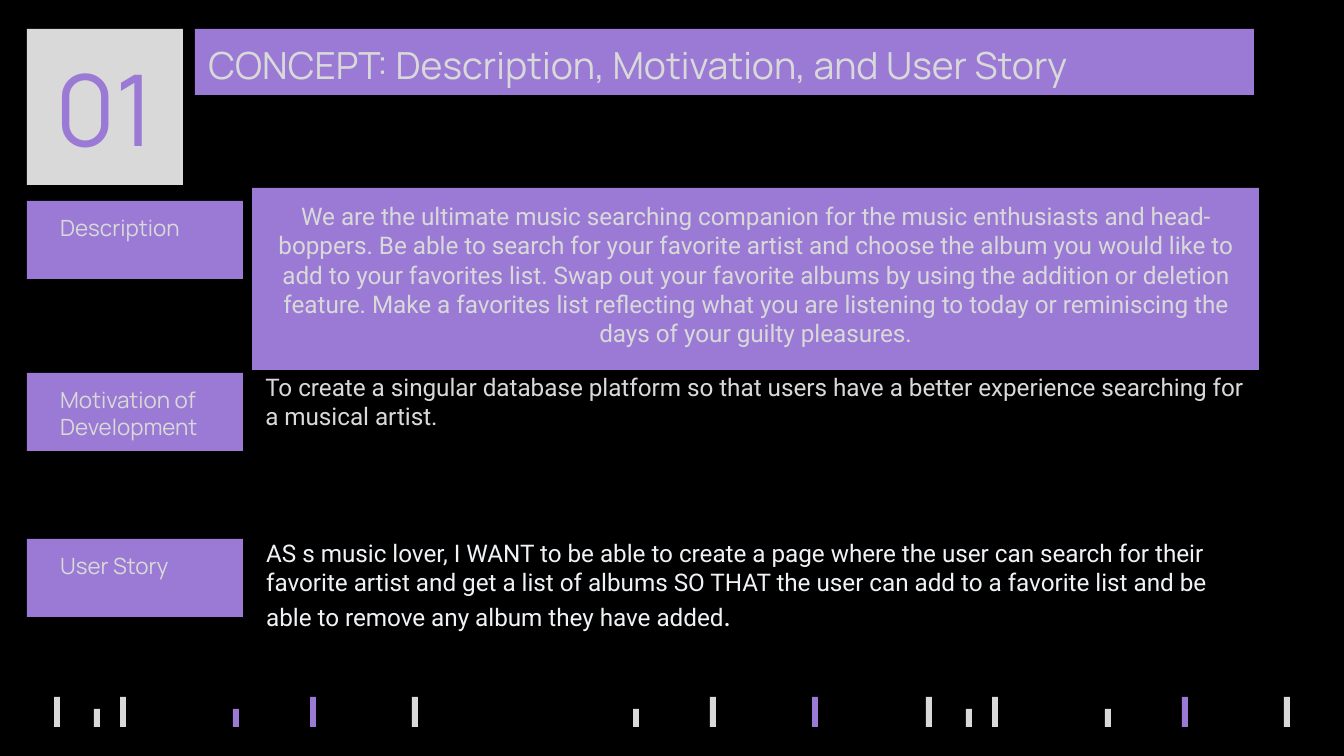
from pptx import Presentation
from pptx import util as u
from pptx.dml.color import RGBColor
from pptx.enum import shapes, text
from pptx.oxml.ns import qn

PX = 914400 / 134.4
HUE = {"black": "000000", "purple": "9A7AD4", "gray": "D9D9D9", "pale": "F0F3F6"}
LEFT, CENTER = text.PP_ALIGN.LEFT, text.PP_ALIGN.CENTER

NUMBER = "01"
HEAD = "CONCEPT: Description, Motivation, and User Story"
ABOUT = (
    "We are the ultimate music searching companion for the music enthusiasts and "
    "head-boppers. Be able to search for your favorite artist and choose the album "
    "you would like to add to your favorites list. Swap out your favorite albums by "
    "using the addition or deletion feature. Make a favorites list reflecting what "
    "you are listening to today or reminiscing the days of your guilty pleasures."
)
REASON = (
    "To create a singular database platform so that users have a better experience "
    "searching for a musical artist."
)
STORY = (
    "AS s music lover, I WANT to be able to create a page where the user can search "
    "for their favorite artist and get a list of albums SO THAT the user can add to "
    "a favorite list and be able to remove any album they have added"
)
LABELS = [
    (201, ["Description"]),
    (373, ["Motivation of", "Development"]),
    (539, ["User Story"]),
]
NOTES = [
    ((252, 359, 1007, 183), 0, [(REASON, 13, "Roboto", "gray")]),
    ((233, 525, 1007, 183), 20,
     [(STORY, 13, "Roboto", "pale"), (".", 16, "Roboto", "pale")]),
]
BEATS = [(0, 30), (40, 18), (66, 30), (179, 18), (256, 30), (358, 30)]
GROUPS = [(54, 0, {3, 4}), (454, 3, {5}), (926, 0, {4})]
GROUPS[1] = (454, 3, {5})
FLOOR = 727


def px(n):
    return u.Emu(round(n * PX))


def color(name):
    return RGBColor.from_string(HUE[name])


def place(shape, box):
    shape.left, shape.top, shape.width, shape.height = map(px, box)


def paint(shape, name):
    shape.fill.solid()
    shape.fill.fore_color.rgb = color(name)


def block(box, name):
    shape = slide.shapes.add_shape(shapes.MSO_SHAPE.RECTANGLE, *map(px, box))
    paint(shape, name)
    shape.line.fill.background()
    shape.shadow.inherit = False
    return shape


def write(shape, lines, align=LEFT, indent=0, anchor=text.MSO_ANCHOR.TOP):
    frame = shape.text_frame
    frame.word_wrap = True
    frame.auto_size = text.MSO_AUTO_SIZE.NONE
    frame.vertical_anchor = anchor
    frame.margin_left = frame.margin_right = u.Inches(0.1)
    frame.margin_top = frame.margin_bottom = u.Inches(0.1)
    for i, runs in enumerate(lines):
        para = frame.add_paragraph() if i else frame.paragraphs[0]
        para.alignment = align
        para.space_before = u.Pt(0)
        props = para._p.get_or_add_pPr()
        props.set("marL", str(px(indent)))
        props.set("indent", "0")
        props.append(props.makeelement(qn("a:buNone"), {}))
        for words, size, face, name in runs:
            run = para.add_run()
            run.text = words
            run.font.size = u.Pt(size)
            run.font.name = face
            run.font.color.rgb = color(name)


deck = Presentation()
deck.slide_width, deck.slide_height = px(1344), px(756)
slide = deck.slides.add_slide(deck.slide_layouts[3])
slide.background.fill.solid()
slide.background.fill.fore_color.rgb = color("black")

for start, first, accents in GROUPS:
    for i, (step, tall) in enumerate(BEATS):
        if i >= first:
            hue = "purple" if i in accents else "gray"
            block((start + step, FLOOR - tall, 6, tall), hue)

title, head, about = slide.placeholders
for shape, box, hue in [
    (title, (27, 29, 156, 156), "gray"),
    (head, (195, 29, 1059, 66), "purple"),
    (about, (252, 188, 1007, 182), "purple"),
]:
    place(shape, box)
    paint(shape, hue)
write(title, [[(NUMBER, 53, "Manrope", "purple")]], CENTER,
      anchor=text.MSO_ANCHOR.MIDDLE)
write(head, [[(HEAD, 20, "Manrope", "gray")]])
write(about, [[(ABOUT, 13, "Roboto", "gray")]], CENTER)

for top, lines in LABELS:
    label = block((27, top, 216, 78), "purple")
    write(label, [[(line, 12, "Manrope", "gray")] for line in lines], indent=20)

for box, indent, runs in NOTES:
    write(slide.shapes.add_textbox(*map(px, box)), [runs], indent=indent)

GROUPS.clear()
deck.save("out.pptx")
